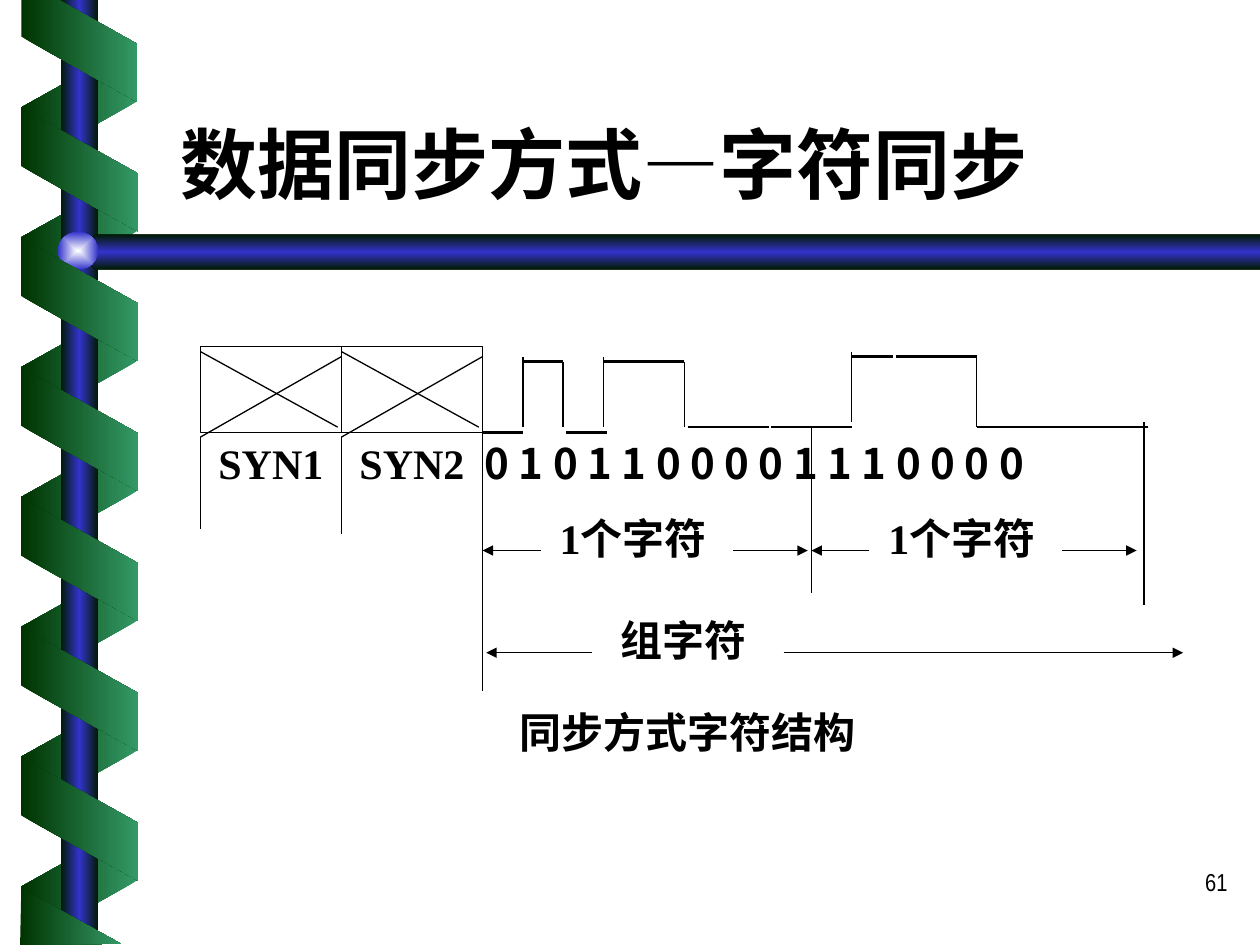
"""Build a slide on character synchronisation with a signal diagram."""
from lxml import etree
from pptx import Presentation
from pptx.dml.color import RGBColor
from pptx.enum.shapes import MSO_CONNECTOR, MSO_SHAPE
from pptx.enum.text import MSO_ANCHOR, MSO_AUTO_SIZE, PP_ALIGN
from pptx.oxml import parse_xml
from pptx.oxml.ns import nsdecls, qn
from pptx.util import Pt

RECTANGLE = MSO_SHAPE.RECTANGLE
OVAL = MSO_SHAPE.OVAL
PARALLELOGRAM = MSO_SHAPE.PARALLELOGRAM
STRAIGHT = MSO_CONNECTOR.STRAIGHT
BOTTOM, TOP = MSO_ANCHOR.BOTTOM, MSO_ANCHOR.TOP
NO_FIT = MSO_AUTO_SIZE.NONE
LEFT, CENTER, RIGHT = PP_ALIGN.LEFT, PP_ALIGN.CENTER, PP_ALIGN.RIGHT

COLORS = {"ink": "000000", "paper": "FFFFFF", "dark": "003300", "green": "339966",
          "edge": "001A00", "blue": "3333CC", "glow": "FEFFFF"}
SERIF, NARROW, CJK = "Times New Roman", "Arial Narrow", "Noto Sans CJK SC"

RIBBON_STEP = 74.2
SYNC_LEFT, SYNC_WIDTH, DATA_LEFT = 114.5, 80.6, 275.8
CHARACTER_WIDTH = 187.9
LOW, HIGH = 244.1, 206.6
LOW_START, HIGH_END = 247, 203.8

LEVELS = [(275.8, 298.8, LOW_START), (298.8, 321.8, HIGH), (323.3, 347, LOW_START),
          (344.9, 367.9, HIGH), (367.9, 391, HIGH), (393.1, 416.2, LOW),
          (416.2, 439.2, LOW), (440.6, 463.7, LOW), (463.7, 486.7, LOW),
          (486.7, 510.5, HIGH_END), (511.9, 535, HIGH_END), (535, 558, HIGH_END),
          (558, 581, LOW), (581, 604.1, LOW), (601.9, 655.9, LOW)]
EDGES = [(298.8, 244.1, 203.8), (321.8, 206.6, 244.1), (344.9, 244.1, 203.8),
         (391, 206.6, 244.1), (486.7, 241.2, 200.9), (558, 244.1, 203.8)]
GUIDES = [(SYNC_LEFT, 249.8, 302.4), (SYNC_LEFT + SYNC_WIDTH, 249.8, 305.3),
          (DATA_LEFT, 247, 305.3), (463.7, 244.1, 339.1),
          (653.8, 241.2, 345.6), (DATA_LEFT, 394.6, 302.4)]


def color(name):
    return RGBColor.from_string(COLORS[name])


def paint_gradient(shape, names, angle=0, centered=False):
    shape.shadow.inherit = False
    shape.line.fill.background()
    shape.fill.gradient()
    last = len(names) - 1
    stops = "".join(
        f'<a:gs pos="{100000 * index // last}"><a:srgbClr val="{COLORS[name]}"/></a:gs>'
        for index, name in enumerate(names))
    direction = f'<a:lin ang="{angle * 60000}" scaled="0"/>'
    if centered:
        direction = ('<a:path path="rect"><a:fillToRect l="50000" t="50000" '
                     'r="50000" b="50000"/></a:path>')
    gradient = parse_xml(f'<a:gradFill {nsdecls("a")} rotWithShape="0">'
                         f'<a:gsLst>{stops}</a:gsLst>{direction}</a:gradFill>')
    properties = shape._element.spPr
    properties.replace(properties.find(qn("a:gradFill")), gradient)


def add_preset(page, kind, left, top, width, height):
    return page.shapes.add_shape(kind, Pt(left), Pt(top), Pt(width), Pt(height))


def add_ribbon(page, top, front):
    ribbon = add_preset(page, PARALLELOGRAM, 10.1, top, 70.6, 67 if front else 66.2)
    ribbon.adjustments[0] = 0.56
    ribbon.rotation = 270 if front else 90
    if not front:
        ribbon._element.spPr.find(qn("a:xfrm")).set("flipH", "1")
    paint_gradient(ribbon, ["dark", "green"] if front else ["green", "dark"])


def add_outline(page, points, names, angle=0):
    vertices = [(Pt(x), Pt(y)) for x, y in points]
    builder = page.shapes.build_freeform(*vertices[0])
    builder.add_line_segments(vertices[1:], close=True)
    paint_gradient(builder.convert_to_shape(), names, angle)


def add_line(page, start, end, width=0.75, arrow=False):
    line = page.shapes.add_connector(STRAIGHT, *(Pt(value) for value in start + end))
    line.line.color.rgb = color("ink")
    line.line.width = Pt(width)
    if arrow:
        etree.SubElement(line.line._get_or_add_ln(), qn("a:tailEnd"), type="triangle")
    etree.SubElement(line._element.spPr, qn("a:effectLst"))


def write_text(frame, text, size, font, align, bold=True):
    frame.word_wrap = True
    frame.auto_size = NO_FIT
    para = frame.paragraphs[0]
    para.alignment = align
    span = para.add_run()
    span.text = text
    span.font.size = Pt(size)
    span.font.bold = bold
    span.font.name = font
    span.font.color.rgb = color("ink")
    latin = span._r.rPr.find(qn("a:latin"))
    latin.addnext(parse_xml(f'<a:ea {nsdecls("a")} typeface="{CJK}"/>'))


def add_label(page, text, left, top, width, height, font=SERIF, align=CENTER):
    box = page.shapes.add_textbox(Pt(left), Pt(top), Pt(width), Pt(height))
    frame = box.text_frame
    frame.margin_left = frame.margin_right = frame.margin_top = frame.margin_bottom = 0
    frame.vertical_anchor = TOP
    write_text(frame, text, 24, font, align)


def add_decoration(page):
    for index in (3, 4, 5, 6, 0, 1, 2):
        add_ribbon(page, 26.5 + index * RIBBON_STEP, front=False)
    bar = ["edge", "blue", "edge"]
    paint_gradient(add_preset(page, RECTANGLE, 34.6, 0, 21.6, 540), bar)
    add_outline(page, [(720, 133.9), (54.7, 133.9), (43.2, 144), (54.7, 154.1),
                       (720, 154.1)], bar, 90)
    knob = add_preset(page, OVAL, 33.1, 132.5, 23, 21.6)
    paint_gradient(knob, ["glow", "blue"], centered=True)
    for index in (3, 4, 5, 0, 1, 2):
        add_ribbon(page, 63.5 + index * RIBBON_STEP, front=True)
    ends = [[(12.2, 0), (12.2, 20.9), (78.5, 58.3), (78.5, 25.2), (33.8, 0)],
            [(69.1, 539.3), (12.2, 507.6), (11.5, 540)]]
    for points in ends:
        add_outline(page, points, ["dark", "green"])


def add_title(page):
    title = page.shapes.title
    title.left, title.top, title.width, title.height = Pt(95.8), Pt(33.1), Pt(612), Pt(90)
    title.text_frame.vertical_anchor = BOTTOM
    write_text(title.text_frame, "数据同步方式—字符同步", 44, SERIF, LEFT)


def add_page_number(page):
    box = page.shapes.add_textbox(Pt(558.7), Pt(491.8), Pt(149.8), Pt(36))
    write_text(box.text_frame, "61", 14, NARROW, RIGHT, bold=False)


def add_sync_cell(page, left, name):
    cell = add_preset(page, RECTANGLE, left, 198, SYNC_WIDTH, 49)
    cell.shadow.inherit = False
    cell.fill.solid()
    cell.fill.fore_color.rgb = color("paper")
    cell.line.color.rgb = color("ink")
    cell.line.width = Pt(0.75)
    add_line(page, (left, 200.9), (left + 78.5, 244.1))
    add_line(page, (left, 249.8), (left + SYNC_WIDTH, 203.8))
    add_label(page, name, left, 249.8, SYNC_WIDTH, 58.3)


def add_character(page, left):
    add_label(page, "1个字符", left + 24.5, 293, 123, 51.8)
    add_line(page, (left + 143.2, 314.6), (left + 185.8, 314.6), arrow=True)
    add_line(page, (left + 33.1, 314.6), (left, 314.6), arrow=True)


def add_diagram(page):
    for index, name in enumerate(["SYN1", "SYN2"]):
        add_sync_cell(page, SYNC_LEFT + index * SYNC_WIDTH, name)
    add_label(page, "0 1 0 1 1 0 0 0 0 1 1 1 0 0 0 0", 276.9, 249.8, 419.3, 49, CJK, LEFT)
    for start, end, level in LEVELS:
        add_line(page, (start, level), (end, level), 1.5)
    for x, start, end in EDGES + GUIDES:
        add_line(page, (x, start), (x, end))
    for index in range(2):
        add_character(page, DATA_LEFT + index * CHARACTER_WIDTH)
    add_label(page, "组字符", 329, 351.4, 123, 51.8)
    add_line(page, (447.8, 373), (676.1, 373), arrow=True)
    add_line(page, (338.4, 373), (277.9, 373), arrow=True)
    add_label(page, "同步方式字符结构", 108, 403.9, 570.2, 51.8)


def main():
    deck = Presentation()
    deck.slide_width, deck.slide_height = Pt(720), Pt(540)
    page = deck.slides.add_slide(deck.slide_layouts[5])
    add_decoration(page)
    add_page_number(page)
    add_title(page)
    add_diagram(page)
    deck.save("out.pptx")


if __name__ == "__main__":
    main()
